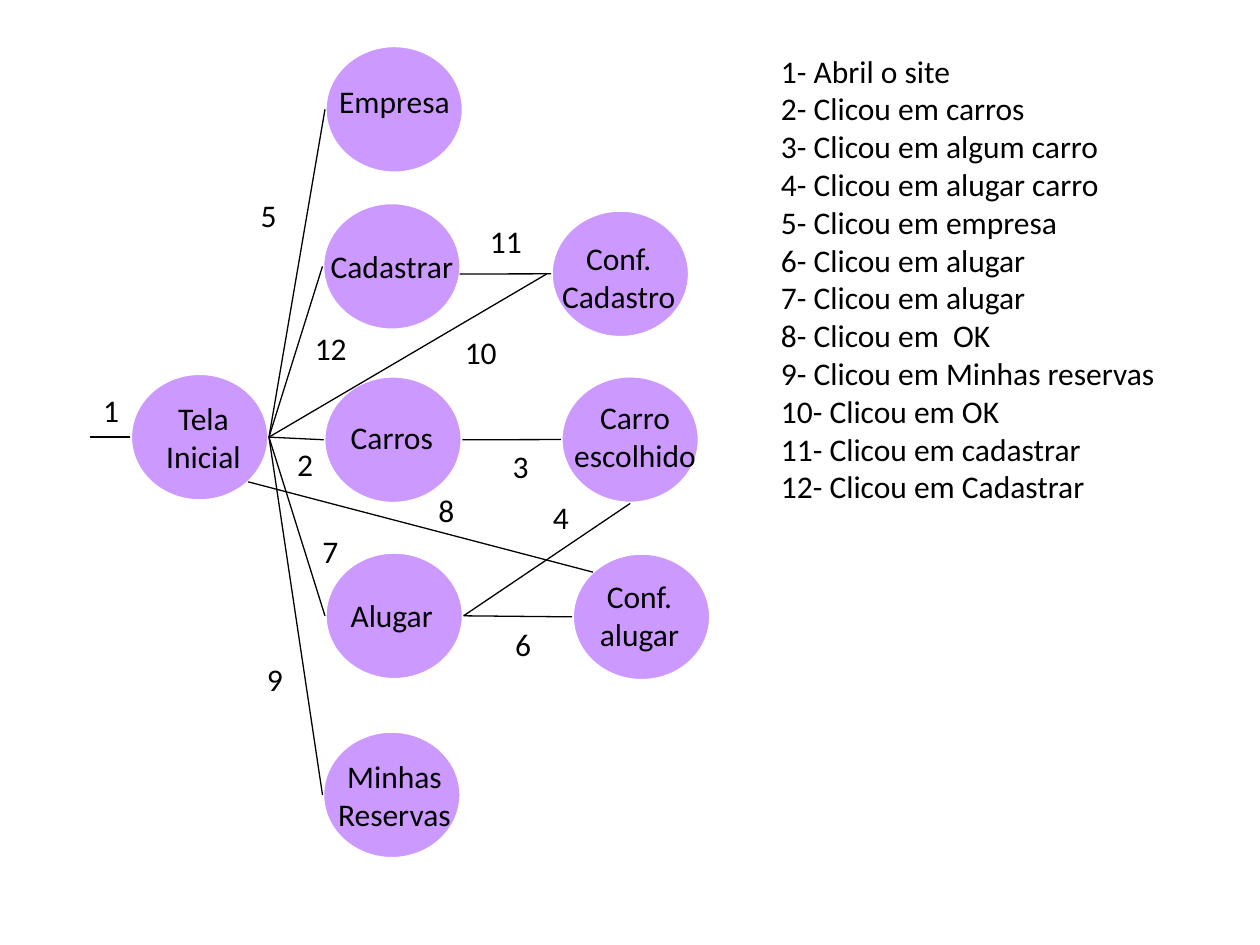
"""Build the navigation diagram of a car rental site with its numbered legend."""
import lxml.etree
import pptx
import pptx.dml.color
import pptx.enum.shapes
import pptx.enum.text
import pptx.oxml.ns
import pptx.util

Pt = pptx.util.Pt
RGB = pptx.dml.color.RGBColor
ALIGN = pptx.enum.text.PP_ALIGN
THEME = {
    "font": "Calibri",
    "size": Pt(18),
    "text": RGB(0x00, 0x00, 0x00),
    "circle": RGB(0xCC, 0x99, 0xFF),
    "outline": RGB(0xFF, 0xFF, 0xFF),
    "link": RGB(0x00, 0x00, 0x00),
}
CIRCLE_WIDTH, CIRCLE_HEIGHT = 79.2, 73
LINE_HEIGHT, BOX_PADDING = 21.97, 7.2

presentation = pptx.Presentation()
presentation.slide_width, presentation.slide_height = Pt(720), Pt(540)
slide = presentation.slides.add_slide(presentation.slide_layouts[6])


def add_text(left, top, width, line_count, lines, alignment):
    height = line_count * LINE_HEIGHT + BOX_PADDING
    box = slide.shapes.add_textbox(Pt(left), Pt(top), Pt(width), Pt(height))
    frame = box.text_frame
    frame.word_wrap = True
    frame.auto_size = pptx.enum.text.MSO_AUTO_SIZE.SHAPE_TO_FIT_TEXT
    for index, line in enumerate(lines):
        paragraph = frame.add_paragraph() if index else frame.paragraphs[0]
        paragraph.alignment = alignment
        run = paragraph.add_run()
        run.text = line
        run.font.name = THEME["font"]
        run.font.size = THEME["size"]
        run.font.color.rgb = THEME["text"]


def add_link(start, end):
    connector = slide.shapes.add_connector(
        pptx.enum.shapes.MSO_CONNECTOR.STRAIGHT, *[Pt(value) for value in (*start, *end)])
    connector.line.color.rgb = THEME["link"]
    connector.line.width = Pt(0.75)
    lxml.etree.SubElement(connector._element.spPr, pptx.oxml.ns.qn("a:effectLst"))


circles = {
    "Tela inicial": (74.5, 213.3),
    "Alugar": (185.7, 315.4),
    "Carros": (185, 214.8),
    "Empresa": (185.7, 26),
    "Minhas reservas": (184.3, 417.7),
    "Cadastrar": (184.3, 115.7),
    "Conf. cadastro": (314.9, 120),
    "Carro escolhido": (320.5, 214.7),
    "Conf. alugar": (327, 316),
}
for left, top in circles.values():
    circle = slide.shapes.add_shape(
        pptx.enum.shapes.MSO_SHAPE.OVAL, Pt(left), Pt(top), Pt(CIRCLE_WIDTH), Pt(CIRCLE_HEIGHT))
    circle.shadow.inherit = False
    circle.fill.solid()
    circle.fill.fore_color.rgb = THEME["circle"]
    circle.line.color.rgb = THEME["outline"]
    circle.line.width = Pt(2)

LEFT, RIGHT, BOTTOM = (0, 0.5), (1, 0.5), (0.5, 1)
UPPER_LEFT, LOWER_RIGHT = (0.15, 0.15), (0.85, 0.85)
BESIDE_LEFT, ENTRY = (-0.03, 0.5), (-0.29, 0.5)
links = [
    ("Tela inicial", ENTRY, "Tela inicial", LEFT),
    ("Tela inicial", RIGHT, "Empresa", LEFT),
    ("Tela inicial", RIGHT, "Cadastrar", LEFT),
    ("Tela inicial", RIGHT, "Carros", LEFT),
    ("Tela inicial", RIGHT, "Alugar", LEFT),
    ("Tela inicial", RIGHT, "Minhas reservas", LEFT),
    ("Carros", RIGHT, "Carro escolhido", LEFT),
    ("Carro escolhido", BOTTOM, "Alugar", RIGHT),
    ("Conf. cadastro", LEFT, "Cadastrar", (0.99, 0.56)),
    ("Conf. cadastro", BESIDE_LEFT, "Tela inicial", RIGHT),
    ("Conf. alugar", LEFT, "Alugar", RIGHT),
    ("Conf. alugar", UPPER_LEFT, "Tela inicial", LOWER_RIGHT),
]
for start_name, start_site, end_name, end_site in links:
    start, end = [
        (circles[name][0] + site[0] * CIRCLE_WIDTH, circles[name][1] + site[1] * CIRCLE_HEIGHT)
        for name, site in ((start_name, start_site), (end_name, end_site))
    ]
    add_link(start, end)

circle_labels = [
    (85, 224.6, 62.6, 2, ["Tela Inicial"]),
    (185.7, 43.2, 79.4, 1, ["Empresa"]),
    (185.7, 429.1, 79.4, 2, ["Minhas", "Reservas"]),
    (179.3, 137.5, 89.3, 1, ["Cadastrar"]),
    (185, 235.4, 77.8, 1, ["Carros"]),
    (190, 337, 67.7, 1, ["Alugar"]),
    (308.2, 133.2, 90.7, 2, ["Conf.", "Cadastro"]),
    (320.4, 223.9, 85, 2, ["Carro escolhido"]),
    (331.2, 326.2, 68.4, 2, ["Conf.", "alugar"]),
]
for left, top, width, line_count, lines in circle_labels:
    add_text(left, top, width, line_count, lines, ALIGN.CENTER)

step_positions = {
    1: (51.8, 219.6), 2: (162.7, 250.6), 3: (285.8, 252), 4: (308.9, 280.8),
    5: (141.8, 108.7), 6: (287.3, 353.5), 7: (177.1, 300.2), 8: (243.4, 277.2),
    9: (145.4, 373.7), 10: (258.5, 186.5), 11: (272.9, 123.1), 12: (172.8, 184.3),
}
for step, (left, top) in step_positions.items():
    add_text(left, top, 38 if step > 9 else 26, 1, [str(step)], ALIGN.LEFT)

actions = [
    "Abril o site", "Clicou em carros", "Clicou em algum carro", "Clicou em alugar carro",
    "Clicou em empresa", "Clicou em alugar", "Clicou em alugar", "Clicou em  OK",
    "Clicou em Minhas reservas", "Clicou em OK", "Clicou em cadastrar", "Clicou em Cadastrar",
]
legend = [f"{step}- {action}" for step, action in enumerate(actions, start=1)]
add_text(439.2, 25.9, 244, len(legend), legend, ALIGN.LEFT)

presentation.save("out.pptx")
